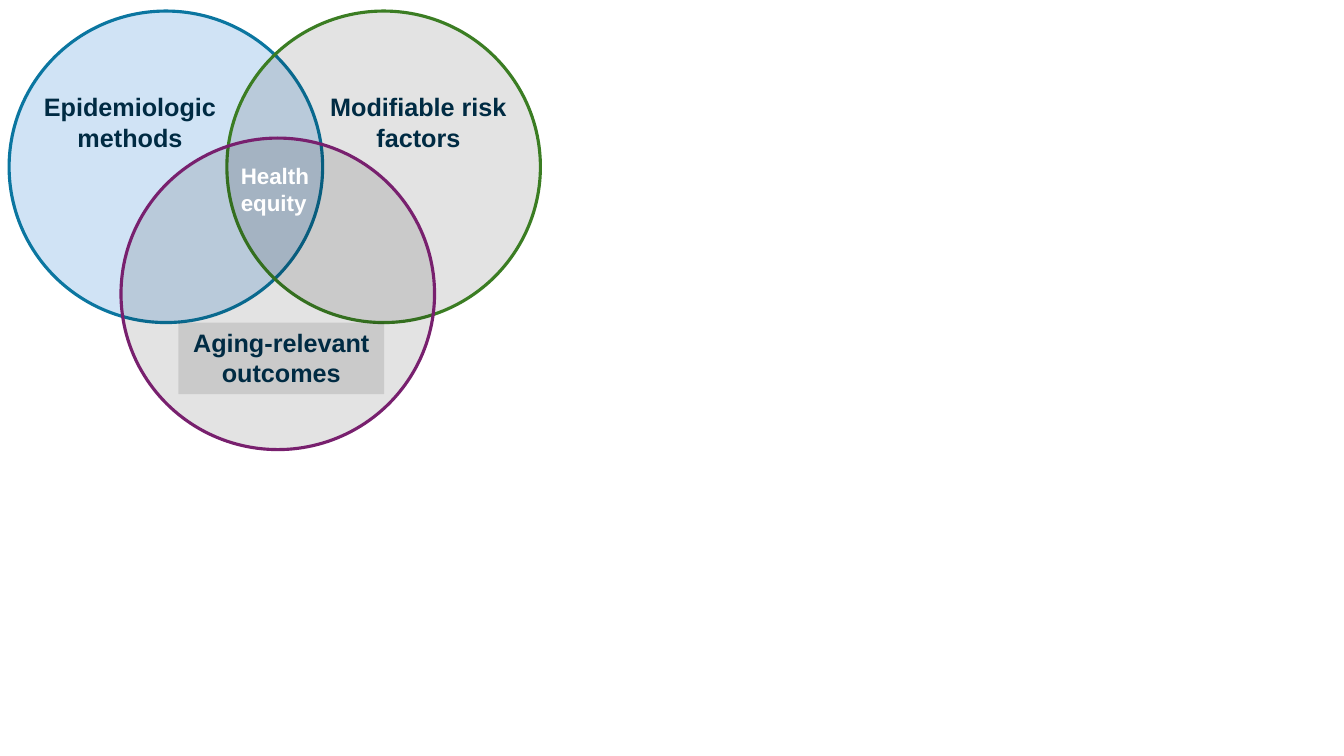
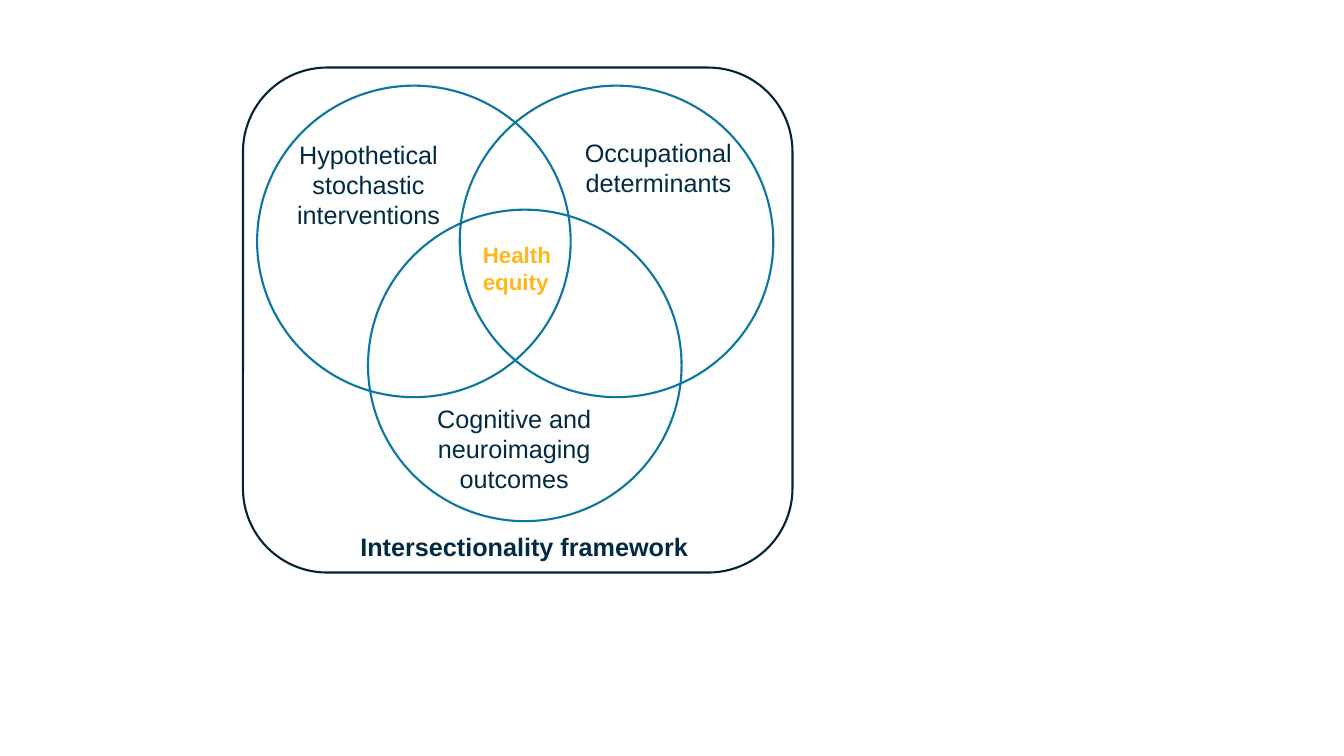
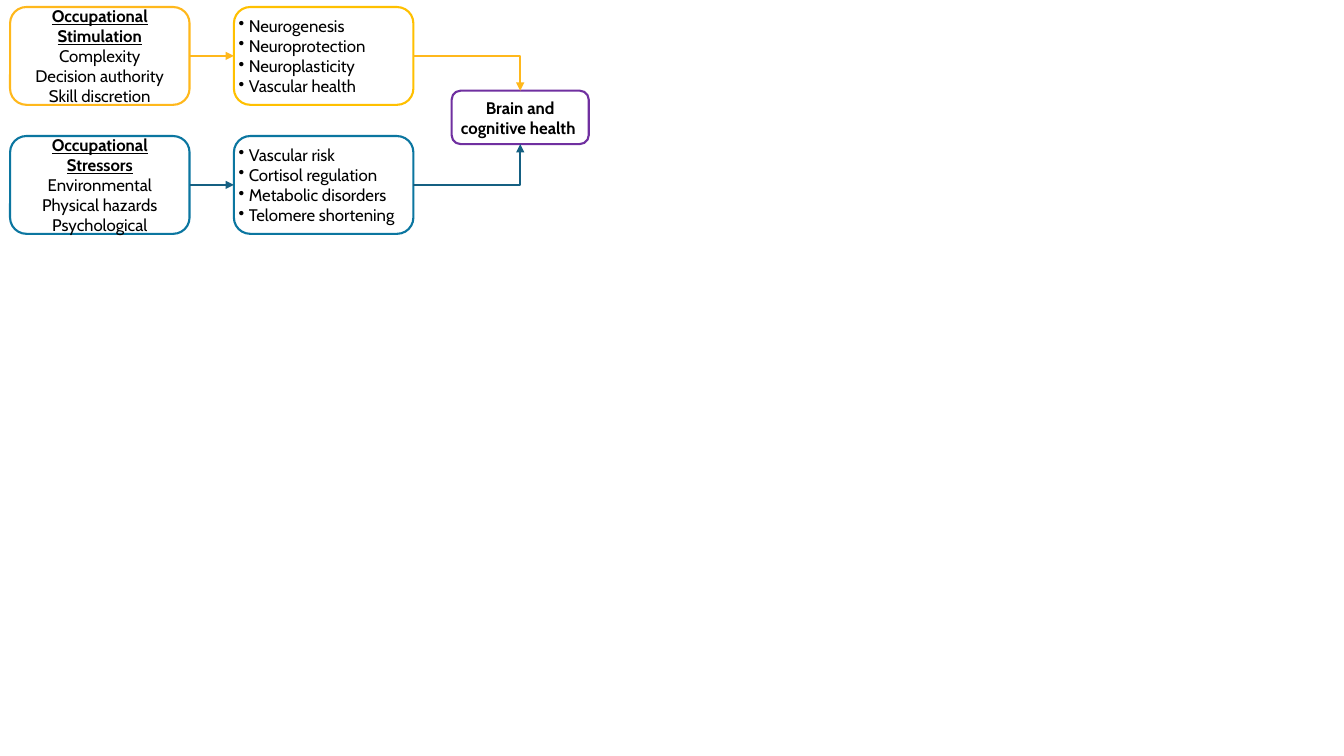
import pptx
import pptx.dml.color
import pptx.enum.shapes
import pptx.enum.text
import pptx.oxml.ns
import pptx.util
from lxml import etree

RGBColor = pptx.dml.color.RGBColor
Shape = pptx.enum.shapes.MSO_SHAPE
Connector = pptx.enum.shapes.MSO_CONNECTOR
Align = pptx.enum.text.PP_ALIGN
Anchor = pptx.enum.text.MSO_ANCHOR
qn = pptx.oxml.ns.qn

# Shared colours
WHITE = RGBColor(0xFF, 0xFF, 0xFF)
BLACK = RGBColor(0x00, 0x00, 0x00)
NAVY = RGBColor(0x00, 0x2B, 0x43)
FRAME = RGBColor(0x04, 0x24, 0x33)
BLUE = RGBColor(0x0B, 0x76, 0xA0)
PALE_BLUE = RGBColor(0xA6, 0xCA, 0xEC)
TEAL = RGBColor(0x15, 0x60, 0x82)
GREEN = RGBColor(0x3B, 0x7D, 0x23)
PLUM = RGBColor(0x78, 0x20, 0x6E)
PURPLE = RGBColor(0x70, 0x30, 0xA0)
AMBER = RGBColor(0xFF, 0xB8, 0x1C)
GOLD = RGBColor(0xFF, 0xC0, 0x00)

# Shared sizes, at 100 px to the inch
PX = 9144
CIRCLE = (311, 309)
STEP_BOX = (178, 97)
BULLET_INDENT = 10

# Connection sites of a box
TOP, LEFT, BOTTOM, RIGHT = range(4)


def px(*lengths):
    return [pptx.util.Emu(length * PX) for length in lengths]


def add_figure(page, kind, at, fill=None, opacity=100, line=None, width=1.5):
    """Preset shape with an optional fill and outline."""
    figure = page.shapes.add_shape(kind, *px(*at))
    figure.shadow.inherit = False
    if fill is None:
        figure.fill.background()
    else:
        figure.fill.solid()
        figure.fill.fore_color.rgb = fill
        if opacity < 100:
            color = figure.element.spPr.find(".//" + qn("a:srgbClr"))
            etree.SubElement(color, qn("a:alpha"), val=str(opacity * 1000))
    if line is None:
        figure.line.fill.background()
    else:
        figure.line.color.rgb = line
        figure.line.width = pptx.util.Pt(width)
    return figure


def write_text(box, *lines, size=18, font="Arial", color=NAVY, bold=False,
               align=Align.CENTER, anchor=Anchor.TOP, heading=False,
               bullets=False, margin=None, grow=False):
    """One paragraph per line; heading makes the first bold and underlined."""
    frame = box.text_frame
    frame.word_wrap = True
    frame.vertical_anchor = anchor
    if grow:
        frame.auto_size = pptx.enum.text.MSO_AUTO_SIZE.SHAPE_TO_FIT_TEXT
    if margin is not None:
        frame.margin_left = frame.margin_right = px(margin)[0]
        frame.margin_top = frame.margin_bottom = px(margin)[0]
    for index, line in enumerate(lines):
        para = frame.add_paragraph() if index else frame.paragraphs[0]
        para.alignment = align
        if bullets:
            properties = para._p.get_or_add_pPr()
            properties.set("marL", str(BULLET_INDENT * PX))
            properties.set("indent", str(-BULLET_INDENT * PX))
            etree.SubElement(properties, qn("a:buChar"), char="•")
        span = para.add_run()
        span.text = line
        is_heading = heading and index == 0
        span.font.name = font
        span.font.size = pptx.util.Pt(size)
        span.font.color.rgb = color
        span.font.bold = bold or is_heading
        span.font.underline = is_heading


def add_label(page, text, at, **text_format):
    box = page.shapes.add_textbox(*px(*at))
    write_text(box, text, grow=True, **text_format)


def add_circle(page, left, top, **style):
    add_figure(page, Shape.OVAL, (left, top, *CIRCLE), **style)


def add_health_equity(page, left, top, color):
    add_label(page, "Health equity", (left, top, 100, 64), size=16,
              color=color, bold=True, align=Align.LEFT)


def add_step(page, at, line, *lines, **text_format):
    """White rounded box of the pathway diagram."""
    box = add_figure(page, Shape.ROUNDED_RECTANGLE, at, fill=WHITE, line=line)
    write_text(box, *lines, size=12, font="Cabin", color=BLACK,
               anchor=Anchor.MIDDLE, **text_format)
    return box


def add_arrow(page, start, end, end_site, color):
    """Arrow from the right side of start, bent unless it enters at the left."""
    bent = end_site != LEFT
    kind = Connector.ELBOW if bent else Connector.STRAIGHT
    arrow = page.shapes.add_connector(kind, 0, 0, 0, 0)
    arrow.begin_connect(start, RIGHT)
    arrow.end_connect(end, end_site)
    arrow.line.color.rgb = color
    arrow.line.width = pptx.util.Pt(1.5)
    properties = arrow.element.spPr
    if bent:
        properties.find(qn("a:prstGeom")).set("prst", "bentConnector2")
    etree.SubElement(properties.find(qn("a:ln")), qn("a:tailEnd"), type="triangle")
    etree.SubElement(properties, qn("a:effectLst"))


def build_research_areas(page):
    for left, top, fill, opacity, line in (
            (9, 11, PALE_BLUE, 52, BLUE),
            (225, 11, BLACK, 11, GREEN),
            (120, 137, BLACK, 11, PLUM)):
        add_circle(page, left, top, fill=fill, opacity=opacity, line=line, width=2.25)
    add_health_equity(page, 229, 156, WHITE)
    add_label(page, "Modifiable risk factors", (312, 86, 206, 71), bold=True)
    add_label(page, "Epidemiologic methods", (26, 86, 206, 71), bold=True)
    outcomes = add_figure(page, Shape.RECTANGLE, (177, 320, 204, 71),
                          fill=BLACK, opacity=11)
    write_text(outcomes, "Aging-relevant outcomes", bold=True, grow=True)


def build_intersectionality(page):
    for left, top in ((255, 85), (456, 85), (365, 208)):
        add_circle(page, left, top, line=BLUE)
    add_health_equity(page, 469, 234, AMBER)
    add_label(page, "Occupational determinants", (550, 131, 206, 71))
    add_label(page, "Hypothetical stochastic interventions", (278, 133, 175, 101))
    add_label(page, "Cognitive and neuroimaging outcomes", (408, 395, 204, 101))
    add_figure(page, Shape.ROUNDED_RECTANGLE, (241, 67, 545, 501), line=FRAME)
    add_label(page, "Intersectionality framework", (262, 522, 516, 40), bold=True)


def build_pathways(page):
    health = add_step(page, (448, 90, 136, 53), PURPLE,
                      "Brain and cognitive health ", bold=True, margin=0)
    pathways = (
        (7, AMBER, GOLD, AMBER, TOP,
         ("Occupational Stimulation", "Complexity", "Decision authority",
          "Skill discretion"),
         ("Neurogenesis", "Neuroprotection", "Neuroplasticity", "Vascular health")),
        (135, BLUE, BLUE, TEAL, BOTTOM,
         ("Occupational Stressors", "Environmental", "Physical hazards",
          "Psychological"),
         ("Vascular risk", "Cortisol regulation", "Metabolic disorders",
          "Telomere shortening")),
    )
    for top, cause_line, effect_line, arrow_color, site, causes, effects in pathways:
        cause = add_step(page, (10, top, *STEP_BOX), cause_line, *causes, heading=True)
        effect = add_step(page, (232, top, *STEP_BOX), effect_line, *effects,
                          align=Align.LEFT, bullets=True, margin=0)
        add_arrow(page, cause, effect, LEFT, arrow_color)
        add_arrow(page, effect, health, site, arrow_color)


def main():
    deck = pptx.Presentation()
    deck.slide_width, deck.slide_height = px(1333, 750)
    blank = deck.slide_layouts[6]
    for build in (build_research_areas, build_intersectionality, build_pathways):
        build(deck.slides.add_slide(blank))
    deck.save("out.pptx")


if __name__ == "__main__":
    main()
